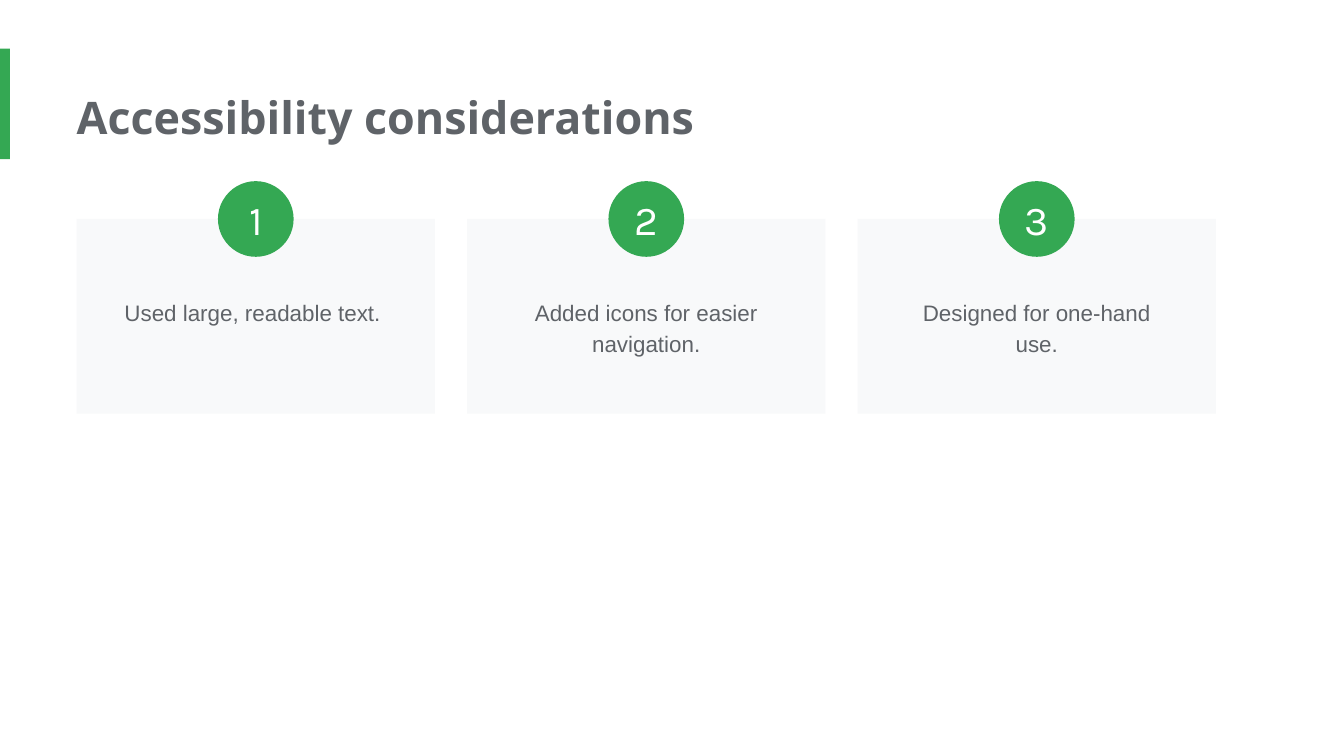
from dataclasses import dataclass

from pptx import Presentation
from pptx.dml.color import RGBColor
from pptx.enum.shapes import MSO_SHAPE as Shape
from pptx.enum.text import MSO_ANCHOR as Anchor, MSO_AUTO_SIZE as AutoSize, PP_ALIGN as Align
from pptx.util import Cm, Pt


@dataclass(frozen=True)
class Theme:
    green: str = "34A853"
    grey: str = "5F6368"
    panel: str = "F8F9FA"
    white: str = "FFFFFF"
    title_size: int = 24
    body_size: int = 12
    number_size: int = 22


theme = Theme()

deck = Presentation()
deck.slide_width, deck.slide_height = Cm(25.4), Cm(14.29)
page = deck.slides.add_slide(deck.slide_layouts[6])


def add_block(kind, left, top, width, height, color):
    block = page.shapes.add_shape(kind, Cm(left), Cm(top), Cm(width), Cm(height))
    block.shadow.inherit = False
    block.fill.solid()
    block.fill.fore_color.rgb = RGBColor.from_string(color)
    block.line.fill.background()
    return block


def write(box, text, font, size, color, inset, align=Align.LEFT, bold=False):
    frame = box.text_frame
    frame.word_wrap = True
    frame.margin_left = frame.margin_right = Cm(inset)
    frame.margin_top = frame.margin_bottom = Cm(inset)
    para = frame.paragraphs[0]
    para.alignment = align
    span = para.add_run()
    span.text = text
    span.font.name = font
    span.font.size = Pt(size)
    span.font.bold = bold
    span.font.color.rgb = RGBColor.from_string(color)
    return frame


margin = 1.45
card_top, card_width, card_height = 4.14, 6.77, 3.68
card_pitch = 7.38
text_indent, text_top = 0.53, 5.33
badge_size = 1.43
considerations = [
    ("Used large, readable text. ", 1.09),
    ("Added icons for easier navigation.", 1.7),
    ("Designed for one-hand use.", 1.7),
]

add_block(Shape.RECTANGLE, 0, 0.92, 0.19, 2.09, theme.green)

title = page.shapes.add_textbox(Cm(margin), Cm(1.45), Cm(19.46), Cm(1.55))
title_frame = write(title, "Accessibility considerations", "Open Sans",
                    theme.title_size, theme.grey, 0.25, bold=True)
title_frame.margin_left = 0
title_frame.auto_size = AutoSize.SHAPE_TO_FIT_TEXT

for index, (text, text_height) in enumerate(considerations):
    left = margin + index * card_pitch
    add_block(Shape.RECTANGLE, left, card_top, card_width, card_height, theme.panel)

    body = page.shapes.add_textbox(Cm(left + text_indent), Cm(text_top),
                                   Cm(card_width - 2 * text_indent), Cm(text_height))
    body_frame = write(body, text, "Arial", theme.body_size, theme.grey, 0.25, Align.CENTER)
    body_frame.paragraphs[0].line_spacing = 1.15
    body_frame.auto_size = AutoSize.SHAPE_TO_FIT_TEXT

    badge = add_block(Shape.OVAL, left + (card_width - badge_size) / 2,
                      card_top - badge_size / 2, badge_size, badge_size, theme.green)
    badge_frame = write(badge, str(index + 1), "Karla", theme.number_size,
                        theme.white, 0, Align.CENTER)
    badge_frame.vertical_anchor = Anchor.MIDDLE

deck.save("out.pptx")
